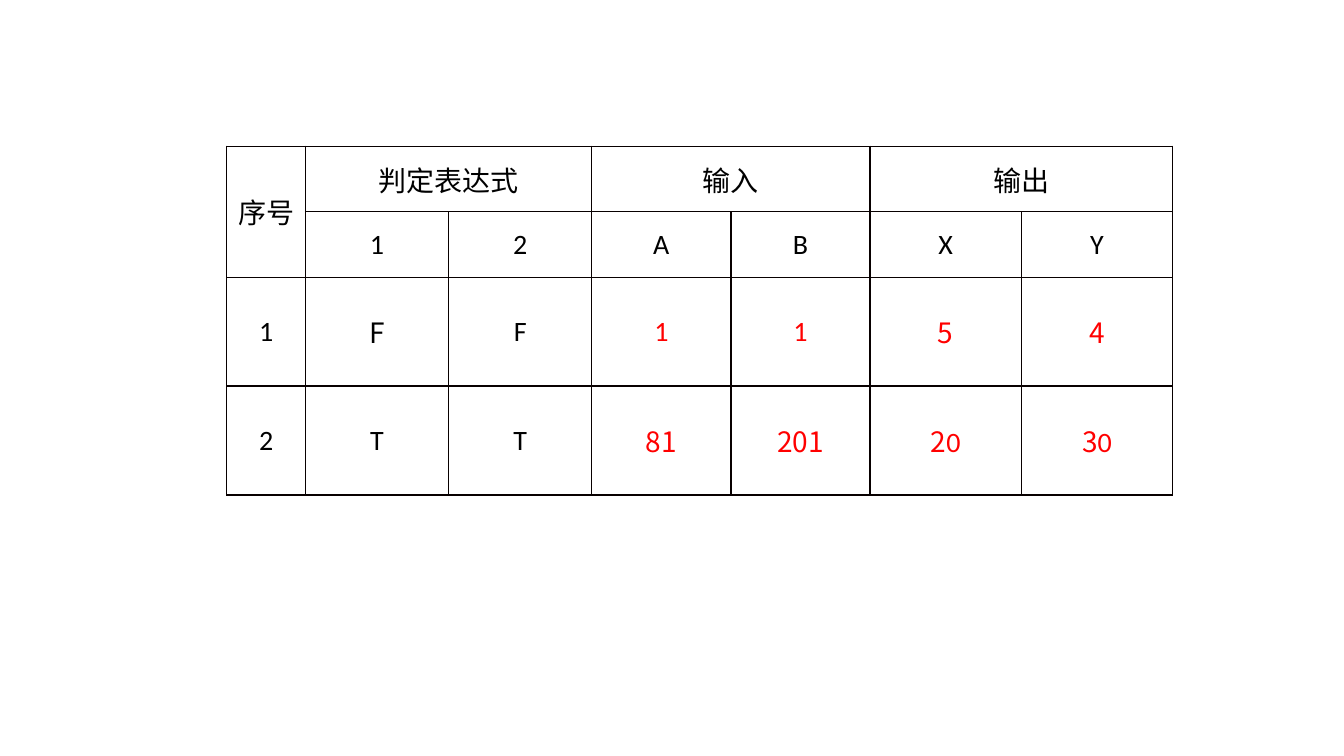
from lxml.etree import SubElement
from pptx import Presentation
from pptx.dml.color import RGBColor
from pptx.enum.text import MSO_ANCHOR, PP_ALIGN
from pptx.oxml.ns import qn
from pptx.util import Inches, Pt

LATIN, CHINESE = "Calibri", "Noto Sans CJK SC"
BLACK, RED, BORDER = "000000", "FF0000", "080000"


def add_run(paragraph, text, font_name, color):
    run = paragraph.add_run()
    run.text = text
    run.font.size = Pt(20)
    run.font.name = font_name
    run.font.color.rgb = RGBColor.from_string(color)
    SubElement(run.font._element, qn("a:ea"), typeface=CHINESE)


def add_borders(cell):
    properties = cell._tc.get_or_add_tcPr()
    for side in ("lnL", "lnR", "lnT", "lnB"):
        line = SubElement(properties, qn(f"a:{side}"), w=str(Pt(1)))
        fill = SubElement(line, qn("a:solidFill"))
        SubElement(fill, qn("a:srgbClr"), val=BORDER)


presentation = Presentation()
presentation.slide_width = Inches(13.33)
presentation.slide_height = Inches(7.5)
slide = presentation.slides.add_slide(presentation.slide_layouts[6])

# Table contents: None marks a cell covered by a merge
rows = [
    ["序号", "判定表达式", None, "输入", None, "输出", None],
    [None, "1", "2", "A", "B", "X", "Y"],
    ["1", "F", "F", "1", "1", "5", "4"],
    ["2", "T", "T", "81", "201", "20", "30"],
]
# Leading characters set in the Chinese font, by row and column
chinese_lengths = {(2, 1): 1, (2, 5): 1, (2, 6): 1,
                   (3, 3): 2, (3, 4): 3, (3, 5): 1, (3, 6): 1}
column_widths = [0.78, 1.42, 1.42, 1.38, 1.38, 1.5, 1.5]
row_heights = [0.65, 0.65, 1.08, 1.08]

# Table grid
frame = slide.shapes.add_table(
    len(rows), len(column_widths), Inches(2.25), Inches(1.45),
    Inches(sum(column_widths)), Inches(sum(row_heights)))
table = frame.table
table.first_row = False
table.horz_banding = False
for column, width in zip(table.columns, column_widths):
    column.width = Inches(width)
for row, height in zip(table.rows, row_heights):
    row.height = Inches(height)

# Merged headings
table.cell(0, 0).merge(table.cell(1, 0))
for left in (1, 3, 5):
    table.cell(0, left).merge(table.cell(0, left + 1))

# Cells: test data from the fourth column on is red
for row_index, texts in enumerate(rows):
    for column_index, text in enumerate(texts):
        cell = table.cell(row_index, column_index)
        add_borders(cell)
        cell.fill.background()
        cell.margin_left = cell.margin_right = 0
        cell.margin_top = cell.margin_bottom = 0
        cell.vertical_anchor = MSO_ANCHOR.MIDDLE
        if text is None:
            continue
        paragraph = cell.text_frame.paragraphs[0]
        paragraph.alignment = PP_ALIGN.CENTER
        color = RED if row_index >= 2 and column_index >= 3 else BLACK
        split = len(text) if row_index == 0 else chinese_lengths.get(
            (row_index, column_index), 0)
        for part, font_name in ((text[:split], CHINESE), (text[split:], LATIN)):
            if part:
                add_run(paragraph, part, font_name, color)

presentation.save("out.pptx")
